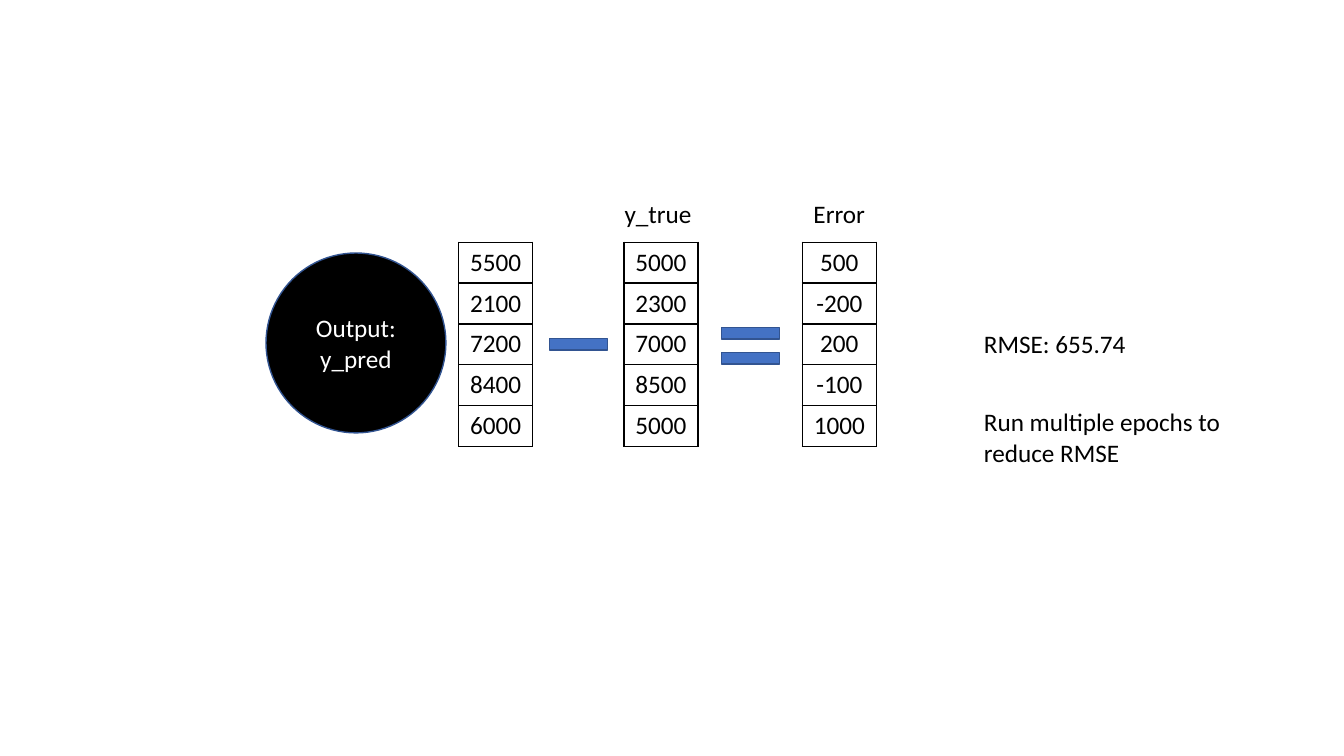
from lxml import etree
from pptx import Presentation
from pptx import util as u
from pptx.dml.color import RGBColor
from pptx.enum import shapes, text
from pptx.oxml import ns

BLACK = RGBColor(0x00, 0x00, 0x00)
WHITE = RGBColor(0xFF, 0xFF, 0xFF)
BLUE = RGBColor(0x44, 0x72, 0xC4)
OUTLINE = RGBColor(0x32, 0x54, 0x91)

presentation = Presentation()
presentation.slide_width, presentation.slide_height = u.Pt(960), u.Pt(540)
slide = presentation.slides.add_slide(presentation.slide_layouts[6])


def write(frame, wording, color=BLACK, align=text.PP_ALIGN.CENTER):
    frame.word_wrap = True
    paragraph = frame.paragraphs[0]
    paragraph.alignment = align
    run = paragraph.add_run()
    run.text = wording
    run.font.name, run.font.size = "Calibri", u.Pt(18)
    run.font.color.rgb = color


def add_outlined(kind, left, top, width, height, fill):
    shape = slide.shapes.add_shape(kind, u.Pt(left), u.Pt(top), u.Pt(width), u.Pt(height))
    shape.shadow.inherit = False
    shape.fill.solid()
    shape.fill.fore_color.rgb = fill
    shape.line.color.rgb = OUTLINE
    shape.line.width = u.Pt(1)
    return shape


# Output node
node = add_outlined(shapes.MSO_SHAPE.OVAL, 190, 180.7, 128.5, 128.5, BLACK)
node.text_frame.vertical_anchor = text.MSO_ANCHOR.MIDDLE
write(node.text_frame, "Output: y_pred", WHITE)

# Value columns: predicted, true, error
COLUMN_WIDTH, ROW_HEIGHT = 52.9, 29.2
columns = [
    (327.6, ["5500", "2100", "7200", "8400", "6000"]),
    (445.7, ["5000", "2300", "7000", "8500", "5000"]),
    (573.1, ["500", "-200", "200", "-100", "1000"]),
]
for left, values in columns:
    table = slide.shapes.add_table(
        len(values), 1, u.Pt(left), u.Pt(173), u.Pt(COLUMN_WIDTH), u.Pt(ROW_HEIGHT * len(values))
    ).table
    table.first_row = table.horz_banding = False
    for row, value in enumerate(values):
        cell = table.cell(row, 0)
        write(cell.text_frame, value)
        properties = cell._tc.get_or_add_tcPr()
        for side in ("a:lnL", "a:lnR", "a:lnT", "a:lnB"):
            border = etree.SubElement(properties, ns.qn(side), w=str(u.Pt(1)))
            border_fill = etree.SubElement(border, ns.qn("a:solidFill"))
            etree.SubElement(border_fill, ns.qn("a:srgbClr"), val=str(BLACK))
        cell.fill.solid()
        cell.fill.fore_color.rgb = WHITE

# Minus sign, then the two bars of the equals sign
for left, top in [(392.6, 241.9), (515.5, 234), (515.5, 252)]:
    add_outlined(shapes.MSO_SHAPE.RECTANGLE, left, top, 41.3, 8.1, BLUE)

# Column headings and result notes
CENTER, LEFT = text.PP_ALIGN.CENTER, text.PP_ALIGN.LEFT
labels = [
    ("y_true ", 408.4, 137.8, 127.4, 29, CENTER),
    ("Error", 535.8, 137.8, 127.4, 29, CENTER),
    ("RMSE: 655.74", 695.7, 230.7, 264, 29, LEFT),
    ("Run multiple epochs to reduce RMSE", 695.7, 286.9, 185.8, 50.9, LEFT),
]
for wording, left, top, width, height, align in labels:
    box = slide.shapes.add_textbox(u.Pt(left), u.Pt(top), u.Pt(width), u.Pt(height))
    box.text_frame.auto_size = text.MSO_AUTO_SIZE.SHAPE_TO_FIT_TEXT
    write(box.text_frame, wording, align=align)

presentation.save("out.pptx")
